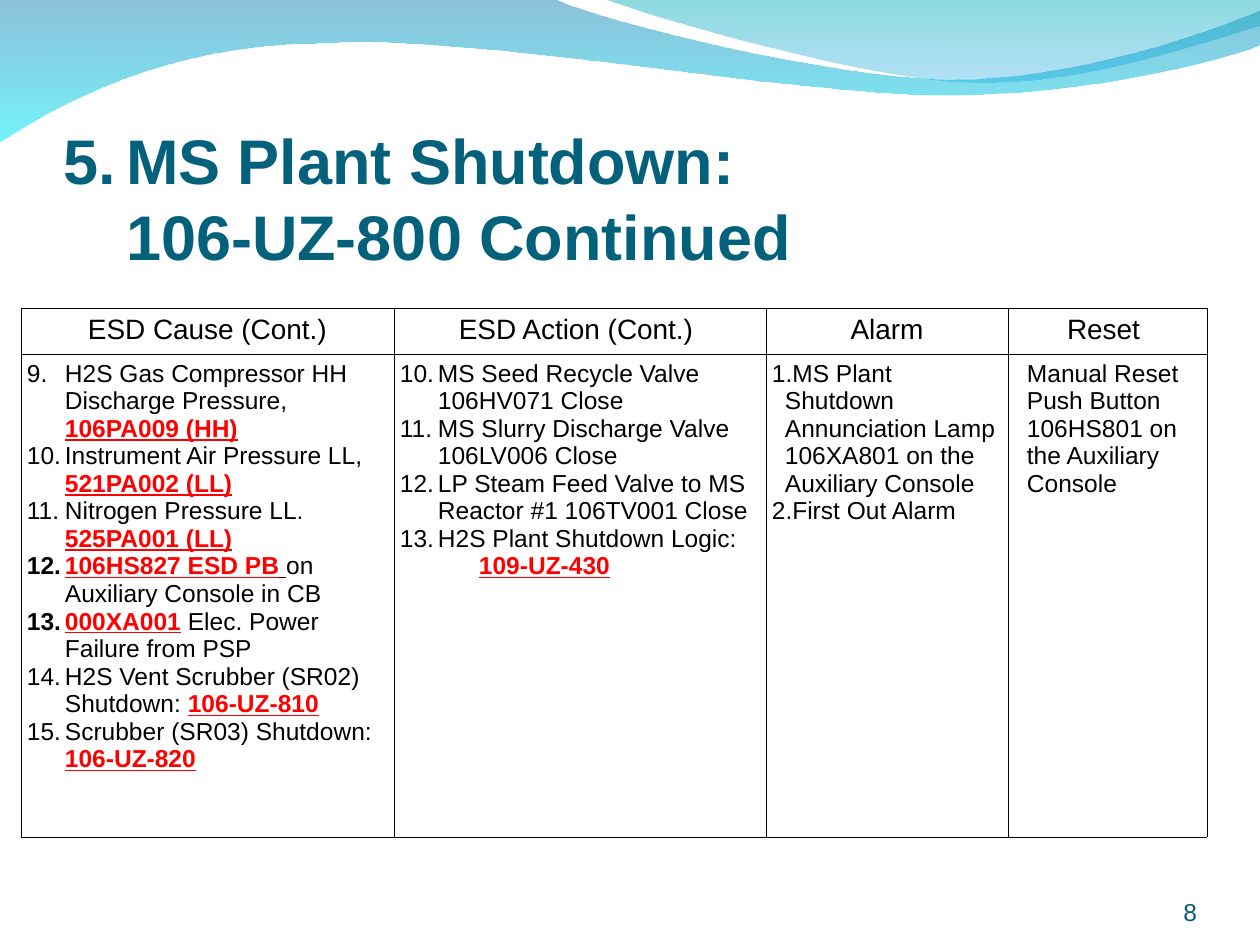
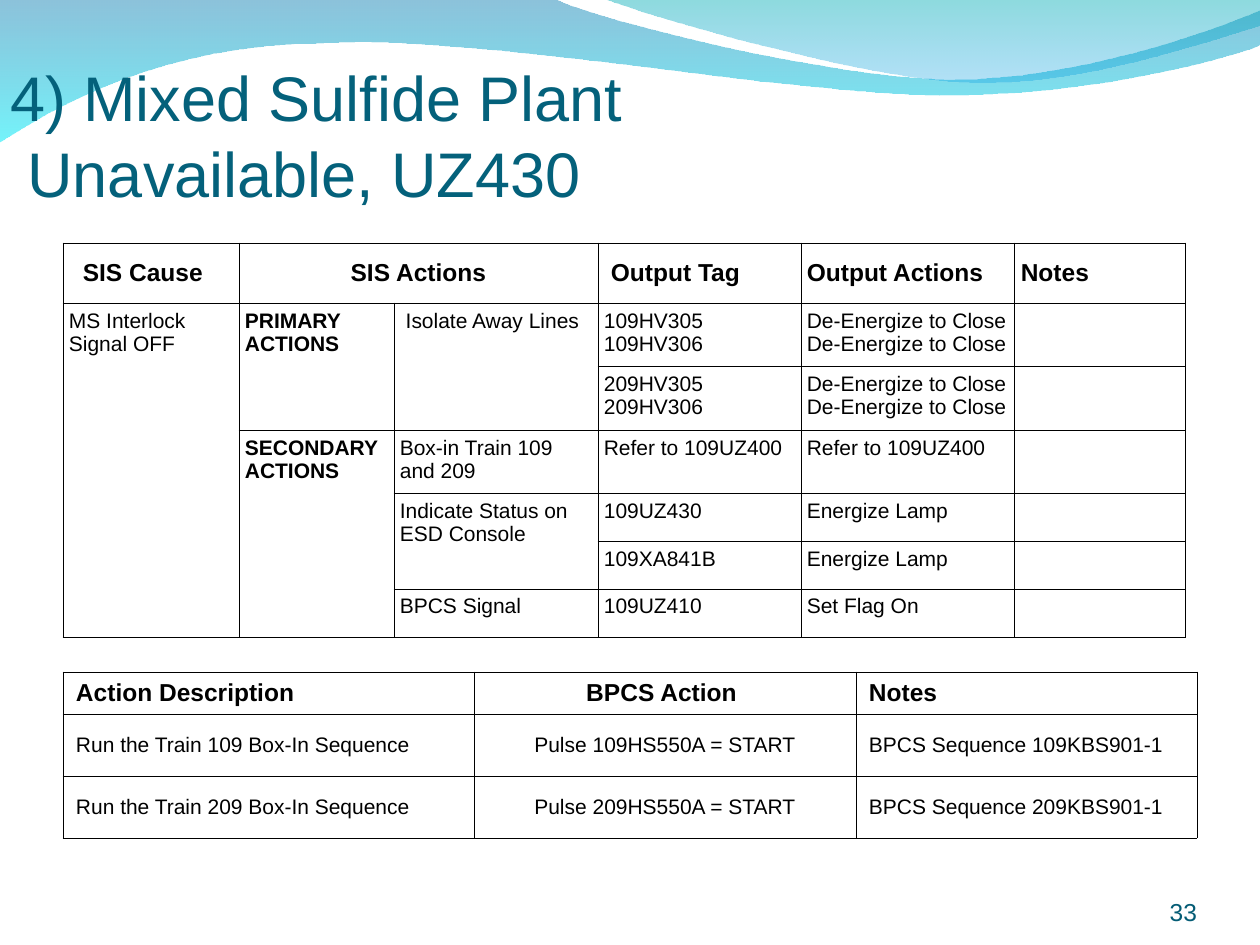
from lxml.etree import SubElement
from pptx import Presentation
from pptx.dml.color import RGBColor
from pptx.enum.text import MSO_ANCHOR, MSO_AUTO_SIZE, PP_ALIGN
from pptx.oxml.ns import qn
from pptx.util import Emu, Pt

PX = 914400 / 126
SLIDE_W, SLIDE_H = 1260, 945
FONT = "Arial"

BLACK = RGBColor(0x00, 0x00, 0x00)
RED = RGBColor(0xFF, 0x00, 0x00)
TITLE_TEAL = RGBColor(0x04, 0x61, 0x7B)
NUMBER_TEAL = RGBColor(0x04, 0x5C, 0x75)
WAVE_STEEL = RGBColor(0x00, 0x79, 0xAF)
WAVE_CYAN = RGBColor(0x00, 0xEB, 0xF8)
WAVE_GREEN = RGBColor(0x00, 0xAD, 0xB6)
WAVE_BLUE = RGBColor(0x00, 0x9B, 0xE5)

# Outlines: a pair is a line's end, six numbers are a cubic curve
LONG_WAVE = [
    (0, -1), (554, -1),
    (600, 21, 837, 79, 955, 79), (1075, 79, 1207, 33, 1260, 11),
    (1261, 45),
    (1239, 55, 1096, 96, 940, 95), (784, 94, 481, 35, 324, 43),
    (163, 44, 58, 105, -1, 142),
]
SHORT_WAVE = [
    (604, -1),
    (641, 14, 859, 78, 969, 82), (1079, 87, 1211, 40, 1260, 26),
    (1260, 0),
]

# Run formats
UNDERLINED = {"underline": True}
TAG = {"bold": True, "underline": True, "color": RED}

# Shutdown table
SHUTDOWN_HEADS = ["ESD Cause (Cont.)", "ESD Action (Cont.) ", "Alarm", "Reset "]
CAUSES = [
    ["H2S Gas Compressor HH Discharge Pressure, ", ("106PA009 (HH)", TAG)],
    ["Instrument Air Pressure LL, ", ("521PA002 (LL)", TAG)],
    ["Nitrogen Pressure LL. ", ("525PA001 (LL)", TAG)],
    [("106HS827 ESD PB", TAG), (" ", UNDERLINED), "on Auxiliary Console in CB"],
    [("000XA001", TAG), " Elec. Power Failure from PSP"],
    ["H2S Vent Scrubber (SR02) Shutdown: ", ("106-UZ-810", TAG)],
    ["Scrubber (SR03) Shutdown: ", ("106-UZ-820", TAG)],
]
ACTIONS = [
    ["MS Seed Recycle Valve 106HV071 Close"],
    ["MS Slurry Discharge Valve 106LV006 Close"],
    ["LP Steam Feed Valve to MS Reactor #1 106TV001 Close"],
    ["H2S Plant Shutdown Logic:"],
]
ALARMS = [
    ["MS Plant Shutdown Annunciation Lamp 106XA801 on the Auxiliary Console"],
    ["First Out Alarm"],
]
RESET = "Manual Reset Push Button 106HS801 on the Auxiliary Console"

# Interlock table: None is an empty or merged cell
SIS_HEADS = [" SIS Cause", "SIS Actions", None, "Output Tag", "Output Actions", "Notes"]
CLOSE_BOTH = "De-Energize to Close\nDe-Energize to Close"
SIS_ROWS = [
    ["MS Interlock Signal OFF", "PRIMARY ACTIONS", " Isolate Away Lines",
     "109HV305\n109HV306", CLOSE_BOTH],
    [None, None, None, "209HV305\n209HV306", CLOSE_BOTH],
    [None, "SECONDARY ACTIONS", "Box-in Train 109 and 209",
     "Refer to 109UZ400", "Refer to 109UZ400"],
    [None, None, "Indicate Status on ESD Console", "109UZ430", "Energize Lamp"],
    [None, None, None, "109XA841B", "Energize Lamp"],
    [None, None, "BPCS Signal", "109UZ410", "Set Flag On"],
]
SIS_MERGES = [(0, 1, 0, 2), (1, 0, 6, 0), (1, 1, 2, 1), (1, 2, 2, 2), (3, 1, 6, 1), (4, 2, 5, 2)]

BPCS_ROWS = [["Action Description", "BPCS Action ", "Notes"]] + [
    [f"Run the Train {train} Box-In Sequence", f"Pulse {train}HS550A = START",
     f"BPCS Sequence {train}KBS901-1"]
    for train in (109, 209)
]


def px(length):
    return Emu(round(length * PX))


def write(paragraph, runs, size, color=BLACK, bold=False, align=PP_ALIGN.LEFT):
    """Add runs, each a string or a (string, format) pair."""
    paragraph.alignment = align
    for item in runs:
        text, extra = (item, {}) if isinstance(item, str) else item
        run = paragraph.add_run()
        run.text = text
        values = {"name": FONT, "size": Pt(size), "bold": bold, "color": color, **extra}
        run.font.color.rgb = values.pop("color")
        for key, value in values.items():
            setattr(run.font, key, value)


def indent(paragraph, left, hanging=0, start=None, color=BLACK):
    """Set the margin in px and, with a start, automatic numbers."""
    props = paragraph._p.get_or_add_pPr()
    props.set("marL", str(px(left)))
    props.set("indent", str(px(-hanging)))
    if start:
        SubElement(SubElement(props, qn("a:buClr")), qn("a:srgbClr"), val=str(color))
        SubElement(props, qn("a:buAutoNum"), type="arabicPeriod", startAt=str(start))


def set_insets(frame, left, top, right, bottom):
    for side, inset in dict(left=left, top=top, right=right, bottom=bottom).items():
        setattr(frame, f"margin_{side}", px(inset))


# Shared parts
def add_wave(slide, master, outline, stops):
    """Draw a wave with (colour, opacity %) stops and move it to the master."""
    points = [part[i:i + 2] for part in outline for i in range(0, len(part), 2)]
    builder = slide.shapes.build_freeform(*points[0], scale=PX)
    builder.add_line_segments(points[1:], close=True)
    wave = builder.convert_to_shape()
    wave.shadow.inherit = False
    wave.line.fill.background()

    # Join each three points of a curve into one cubic segment
    segments = iter(list(wave.element.iter(qn("a:lnTo"))))
    for part in outline[1:]:
        curve = next(segments)
        if len(part) == 6:
            curve.tag = qn("a:cubicBezTo")
            for _ in range(2):
                segment = next(segments)
                curve.append(segment[0])
                segment.getparent().remove(segment)

    wave.fill.gradient()
    wave.fill.gradient_angle = 270
    for position, (stop, (color, _)) in enumerate(zip(wave.fill.gradient_stops, stops)):
        stop.position = position
        stop.color.rgb = color
    for color_xml, (_, opacity) in zip(wave.element.iter(qn("a:srgbClr")), stops):
        SubElement(color_xml, qn("a:alpha"), val=str(opacity * 1000))
    master.shapes.element.insert(2, wave.element)


def set_title(slide, text, left, top, anchor, bold=False, start=None):
    title = slide.shapes.title
    title.left, title.top, title.width, title.height = map(px, (left, top, 1134, 157))
    frame = title.text_frame
    set_insets(frame, 0, 6, 0, 0)
    frame.word_wrap = True
    frame.auto_size = MSO_AUTO_SIZE.NONE
    frame.vertical_anchor = anchor
    heading = frame.paragraphs[0]
    if start:
        indent(heading, 63, 63, start, TITLE_TEAL)
    first, second = text.split("\n")
    write(heading, [first], 36, TITLE_TEAL, bold)
    heading.add_line_break()
    write(heading, [second], 36, TITLE_TEAL, bold)


def add_page_number(slide, number):
    frame = slide.shapes.add_textbox(*map(px, (1092, 876, 105, 50))).text_frame
    set_insets(frame, 0, 0, 0, 0)
    frame.word_wrap = True
    frame.vertical_anchor = MSO_ANCHOR.BOTTOM
    write(frame.paragraphs[0], [str(number)], 14, NUMBER_TEAL, align=PP_ALIGN.RIGHT)


# Tables
def rule_cell(cell):
    cell.fill.background()
    props = cell._tc.get_or_add_tcPr()
    for place, side in enumerate(("lnL", "lnR", "lnT", "lnB")):
        line = SubElement(props, qn(f"a:{side}"), w=str(Pt(0.45)))
        fill = SubElement(line, qn("a:solidFill"))
        SubElement(fill, qn("a:srgbClr"), val=str(BLACK))
        props.insert(place, line)


def shrink_empty_line(cell):
    """Keep a cell without text from stretching its row."""
    end = SubElement(cell.text_frame.paragraphs[0]._p, qn("a:endParaRPr"), sz="1200")
    SubElement(end, qn("a:latin"), typeface=FONT)


def add_grid(slide, left, top, widths, heights, merges=()):
    grid = slide.shapes.add_table(
        len(heights), len(widths), px(left), px(top), px(sum(widths)), px(sum(heights))).table
    grid.first_row = grid.horz_banding = False
    for column, width in zip(grid.columns, widths):
        column.width = px(width)
    for row, height in zip(grid.rows, heights):
        row.height = px(height)
    for cell in grid.iter_cells():
        rule_cell(cell)
        set_insets(cell, 6, 6, 6, 6)
        shrink_empty_line(cell)
    for top_row, left_col, bottom_row, right_col in merges:
        grid.cell(top_row, left_col).merge(grid.cell(bottom_row, right_col))
    return grid


def fill_cell(cell, text, size, insets=(6, 6), anchor=MSO_ANCHOR.TOP, **style):
    set_insets(cell, insets[0], 6, insets[1], 6)
    cell.vertical_anchor = anchor
    frame = cell.text_frame
    for number, line in enumerate(text.split("\n")):
        write(frame.add_paragraph() if number else frame.paragraphs[0], [line], size, **style)


def fill_list(cell, items, hanging, start):
    frame = cell.text_frame
    for number, runs in enumerate(items):
        entry = frame.add_paragraph() if number else frame.paragraphs[0]
        indent(entry, hanging, hanging, start)
        write(entry, runs, 14)


def add_shutdown_table(slide):
    grid = add_grid(slide, 21, 308, [373, 372, 242, 199], [46, 483])
    for col, head in enumerate(SHUTDOWN_HEADS):
        fill_cell(grid.cell(0, col), head, 16, align=PP_ALIGN.CENTER)
    causes, actions, alarms, reset = (grid.cell(1, col) for col in range(4))
    fill_list(causes, CAUSES, 38, 9)
    fill_list(actions, ACTIONS, 38, 10)
    logic_tag = actions.text_frame.add_paragraph()
    indent(logic_tag, 79)
    write(logic_tag, [("109-UZ-430", TAG)], 14)
    fill_list(alarms, ALARMS, 13, 1)
    fill_cell(reset, RESET, 14, insets=(19, 6))


def add_interlock_table(slide):
    grid = add_grid(slide, 63, 243, [176, 155, 204, 203, 214, 171],
                    [60, 63, 64, 63, 48, 48, 48], SIS_MERGES)
    for col, head in enumerate(SIS_HEADS):
        if head:
            insets = (13, 13) if col < 4 else (6, 6)
            fill_cell(grid.cell(0, col), head, 14, insets, MSO_ANCHOR.MIDDLE,
                      bold=True, align=PP_ALIGN.CENTER if col == 1 else PP_ALIGN.LEFT)
    for row, texts in enumerate(SIS_ROWS, 1):
        for col, text in enumerate(texts):
            if text:
                insets = (6, 13 if col < 4 else 6)
                fill_cell(grid.cell(row, col), text, 12, insets, bold=col == 1)


def add_bpcs_table(slide):
    grid = add_grid(slide, 63, 672, [411, 382, 341], [42, 62, 62])
    for row, texts in enumerate(BPCS_ROWS):
        for col, text in enumerate(texts):
            fill_cell(grid.cell(row, col), text, 12 if row else 14, (13, 13), MSO_ANCHOR.MIDDLE,
                      bold=row == 0, align=PP_ALIGN.CENTER if col == 1 else PP_ALIGN.LEFT)


def main():
    deck = Presentation()
    deck.slide_width, deck.slide_height = px(SLIDE_W), px(SLIDE_H)
    title_only = deck.slide_layouts[5]
    shutdown = deck.slides.add_slide(title_only)
    unavailable = deck.slides.add_slide(title_only)

    # Each wave goes to the back, so the front one comes first
    add_wave(shutdown, deck.slide_master, SHORT_WAVE, [(WAVE_GREEN, 45), (WAVE_BLUE, 30)])
    add_wave(shutdown, deck.slide_master, LONG_WAVE, [(WAVE_STEEL, 45), (WAVE_CYAN, 55)])

    # Plant shutdown
    set_title(shutdown, "MS Plant Shutdown:\n106-UZ-800 Continued", 63, 116,
              MSO_ANCHOR.BOTTOM, bold=True, start=5)
    add_shutdown_table(shutdown)
    add_page_number(shutdown, 8)

    # Plant unavailable
    set_title(unavailable, "4) Mixed Sulfide Plant\n Unavailable, UZ430", 10, 53, MSO_ANCHOR.TOP)
    add_interlock_table(unavailable)
    add_page_number(unavailable, 33)
    add_bpcs_table(unavailable)

    deck.save("out.pptx")


if __name__ == "__main__":
    main()
